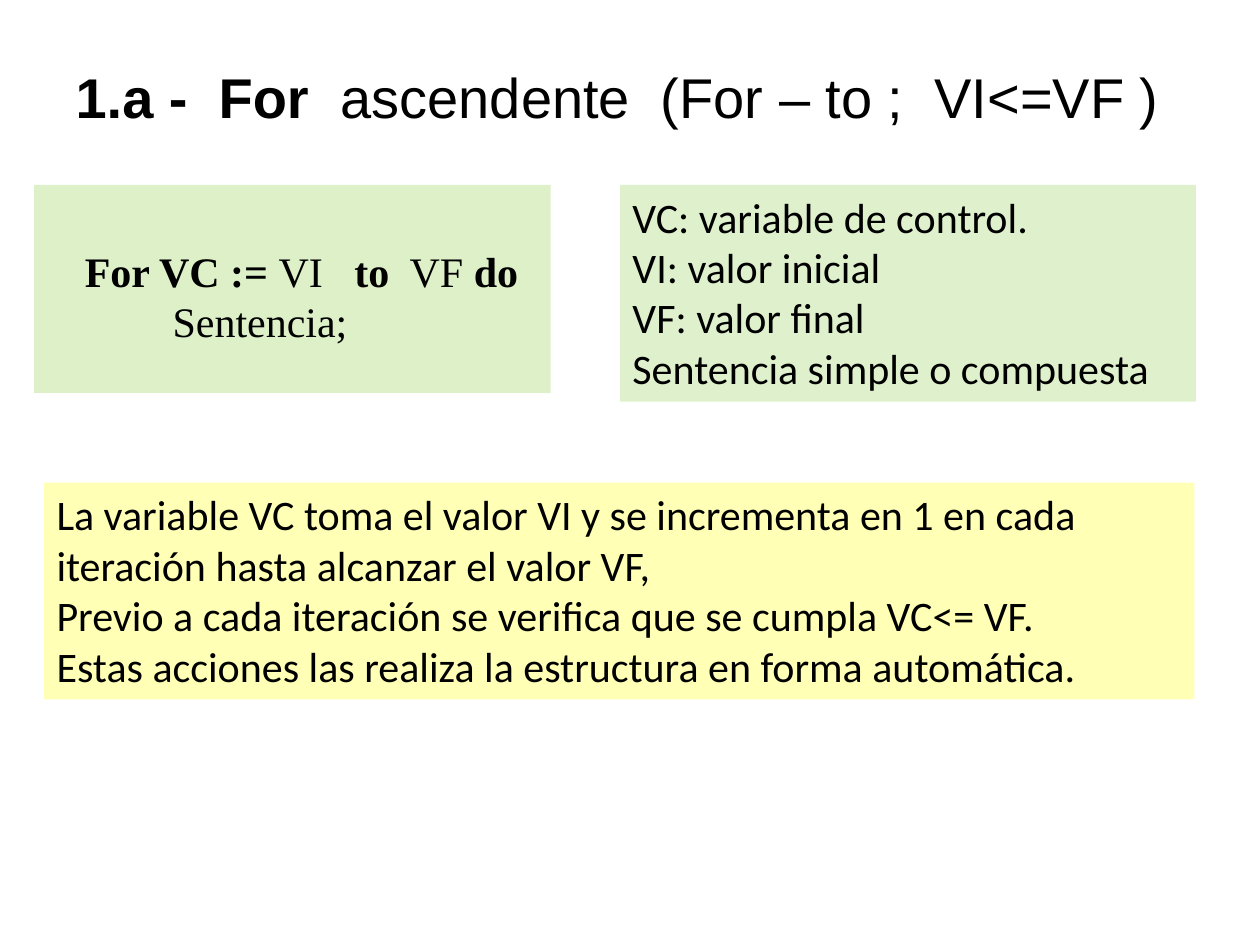
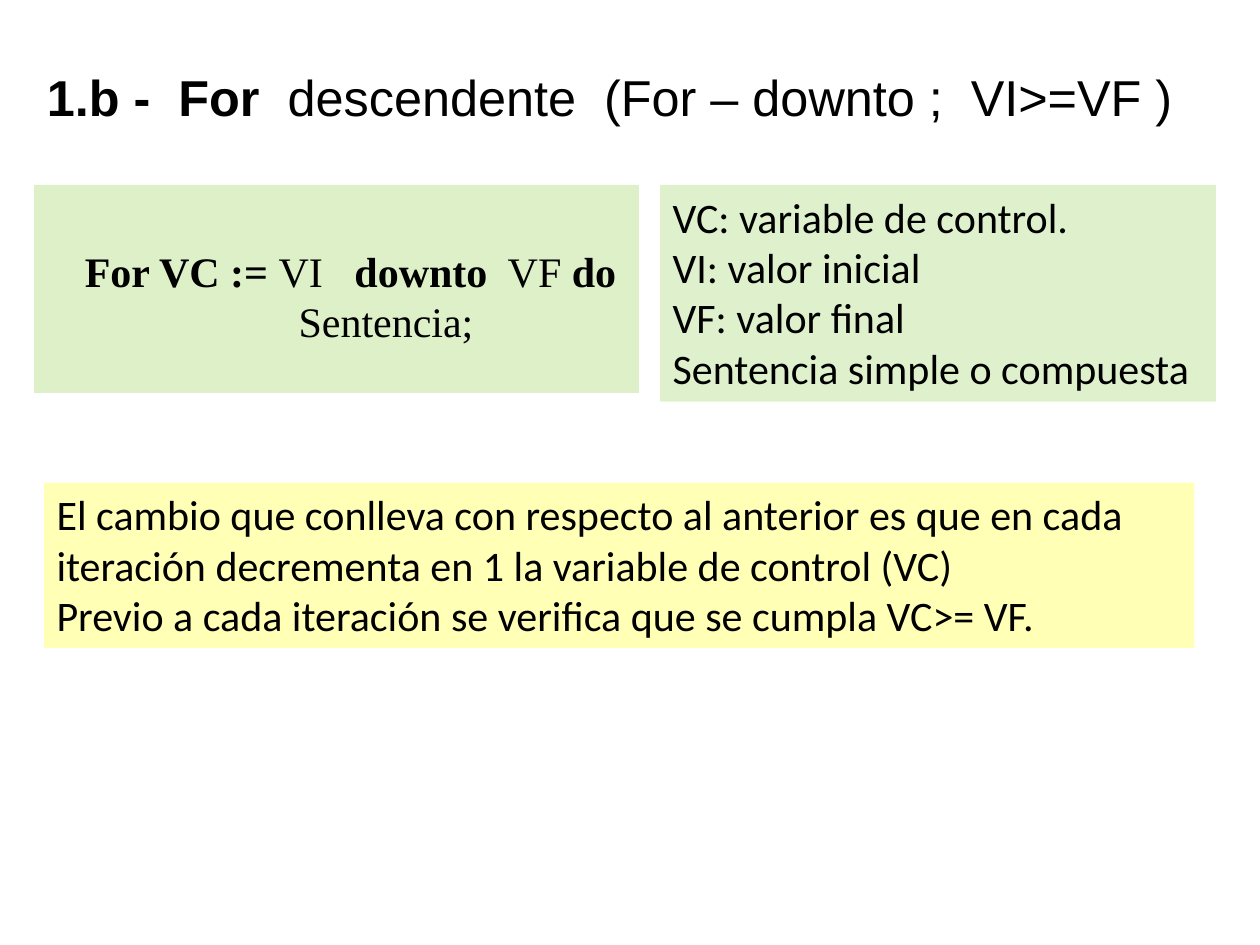
from dataclasses import dataclass

from lxml.etree import SubElement
from pptx import Presentation
from pptx.dml.color import RGBColor
from pptx.enum.shapes import MSO_SHAPE as ShapeKind
from pptx.enum.text import MSO_ANCHOR as Anchor, MSO_AUTO_SIZE as AutoSize, PP_ALIGN as Align
from pptx.oxml.ns import qn
from pptx.util import Cm, Pt

BLACK = "000000"
GREEN = "92D050"
YELLOW = "FFFF00"
TITLE_FONT = "Arial"
BODY_FONT = "Calibri"
CODE_FONT = "Times New Roman"
BODY_SIZE = 24
TITLE_ONLY_LAYOUT = 5
TOP_ROW = 3.73
EXPLANATION_TOP = 9.73
DEFINITIONS = [
    "VC: variable de control.",
    "VI: valor inicial",
    "VF: valor final",
    "Sentencia simple o compuesta",
]


@dataclass(frozen=True)
class Piece:
    text: str
    bold: bool = False


@dataclass(frozen=True)
class Box:
    left: float
    top: float
    width: float
    height: float


@dataclass(frozen=True)
class Loop:
    title: list[Piece]
    title_size: float
    title_box: Box
    keyword: str
    code_box: Box
    sentence_indent: float
    definitions_box: Box
    explanation: list[str]
    explanation_box: Box


LOOPS = [
    Loop(
        title=[Piece("1.a -  For  ", True), Piece("ascendente  (For – to ;  VI<=VF )")],
        title_size=32,
        title_box=Box(1.27, 0.76, 22.86, 2.36),
        keyword="to",
        code_box=Box(0.69, TOP_ROW, 10.41, 4.19),
        sentence_indent=2.54,
        definitions_box=Box(12.5, TOP_ROW, 11.61, 4.37),
        explanation=[
            "La variable VC toma el valor VI y se incrementa en 1 en cada iteración hasta alcanzar el valor VF,",
            "Previo a cada iteración se verifica que se cumpla VC<= VF.",
            "Estas acciones las realiza la estructura en forma automática.",
        ],
        explanation_box=Box(0.89, EXPLANATION_TOP, 23.19, 4.37),
    ),
    Loop(
        title=[Piece("1.b -  For  ", True), Piece("descendente  (For – downto ;  VI>=VF )")],
        title_size=28.8,
        title_box=Box(0.69, 0.76, 23.44, 2.36),
        keyword="downto",
        code_box=Box(0.69, TOP_ROW, 12.19, 4.19),
        sentence_indent=5.08,
        definitions_box=Box(13.31, TOP_ROW, 11.2, 4.37),
        explanation=[
            "El cambio que conlleva con respecto al anterior es que en cada iteración decrementa en 1 la variable de control (VC)",
            "Previo a cada iteración se verifica que se cumpla VC>= VF.",
        ],
        explanation_box=Box(0.89, EXPLANATION_TOP, 23.19, 3.33),
    ),
]


def color(value: str) -> RGBColor:
    return RGBColor.from_string(value)


def place(shape, box: Box) -> None:
    shape.left, shape.top = Cm(box.left), Cm(box.top)
    shape.width, shape.height = Cm(box.width), Cm(box.height)


def write(paragraph, pieces: list[Piece], font_name: str, size: float) -> None:
    paragraph.alignment = Align.LEFT
    for piece in pieces:
        run = paragraph.add_run()
        run.text = piece.text
        run.font.name = font_name
        run.font.size = Pt(size)
        run.font.bold = piece.bold
        run.font.color.rgb = color(BLACK)


def indent(paragraph, distance: float) -> None:
    properties = paragraph._p.get_or_add_pPr()
    properties.set("marL", str(Cm(distance)))
    properties.set("indent", "0")


def add_panel(slide, box: Box, fill: str, opacity: int,
              lines: list[list[Piece]], font_name: str = BODY_FONT):
    panel = slide.shapes.add_shape(
        ShapeKind.RECTANGLE, Cm(box.left), Cm(box.top), Cm(box.width), Cm(box.height))
    panel.shadow.inherit = False
    panel.line.fill.background()
    panel.fill.solid()
    panel.fill.fore_color.rgb = color(fill)
    fill_color = panel._element.spPr.find(qn("a:solidFill"))[0]
    SubElement(fill_color, qn("a:alpha")).set("val", str(opacity * 1000))
    frame = panel.text_frame
    frame.word_wrap = True
    frame.vertical_anchor = Anchor.TOP
    for index, pieces in enumerate(lines):
        paragraph = frame.add_paragraph() if index else frame.paragraphs[0]
        write(paragraph, pieces, font_name, BODY_SIZE)
    return panel


def add_title(slide, loop: Loop) -> None:
    title = slide.shapes.title
    place(title, loop.title_box)
    title.text_frame.auto_size = AutoSize.NONE
    title.text_frame.vertical_anchor = Anchor.MIDDLE
    write(title.text_frame.paragraphs[0], loop.title, TITLE_FONT, loop.title_size)


def add_code(slide, loop: Loop) -> None:
    header = [
        Piece("For VC := ", True), Piece("VI   "), Piece(loop.keyword, True),
        Piece("  VF "), Piece("do", True),
    ]
    panel = add_panel(slide, loop.code_box, GREEN, 31,
                      [header, [Piece("Sentencia;")]], CODE_FONT)
    panel.text_frame.margin_top = Cm(1.21)
    for paragraph, distance in zip(panel.text_frame.paragraphs, (0.77, loop.sentence_indent)):
        indent(paragraph, distance)


def plain(lines: list[str]) -> list[list[Piece]]:
    return [[Piece(line)] for line in lines]


def add_loop_slide(presentation, loop: Loop) -> None:
    slide = presentation.slides.add_slide(presentation.slide_layouts[TITLE_ONLY_LAYOUT])
    add_title(slide, loop)
    add_code(slide, loop)
    add_panel(slide, loop.definitions_box, GREEN, 29, plain(DEFINITIONS))
    add_panel(slide, loop.explanation_box, YELLOW, 29, plain(loop.explanation))


def main() -> None:
    presentation = Presentation()
    presentation.slide_width, presentation.slide_height = Cm(25.4), Cm(19.05)
    for loop in LOOPS:
        add_loop_slide(presentation, loop)
    presentation.save("out.pptx")


if __name__ == "__main__":
    main()
